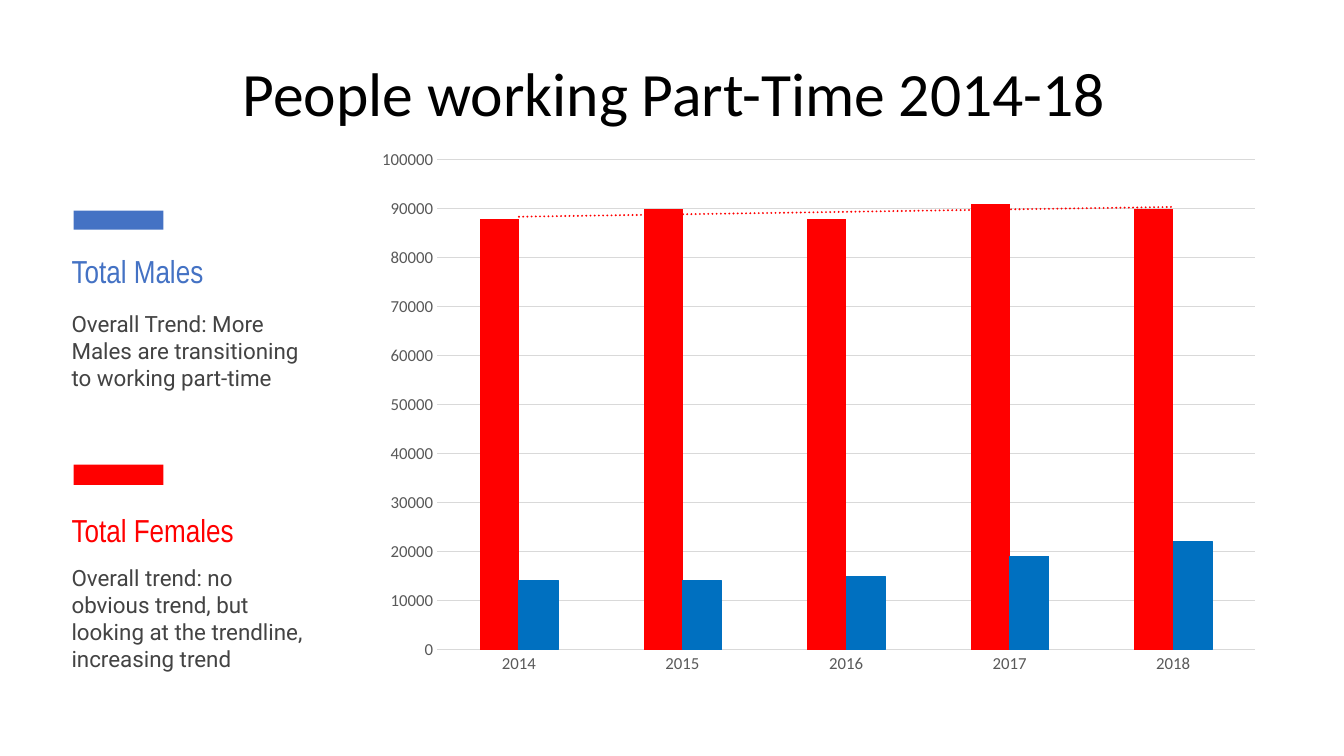
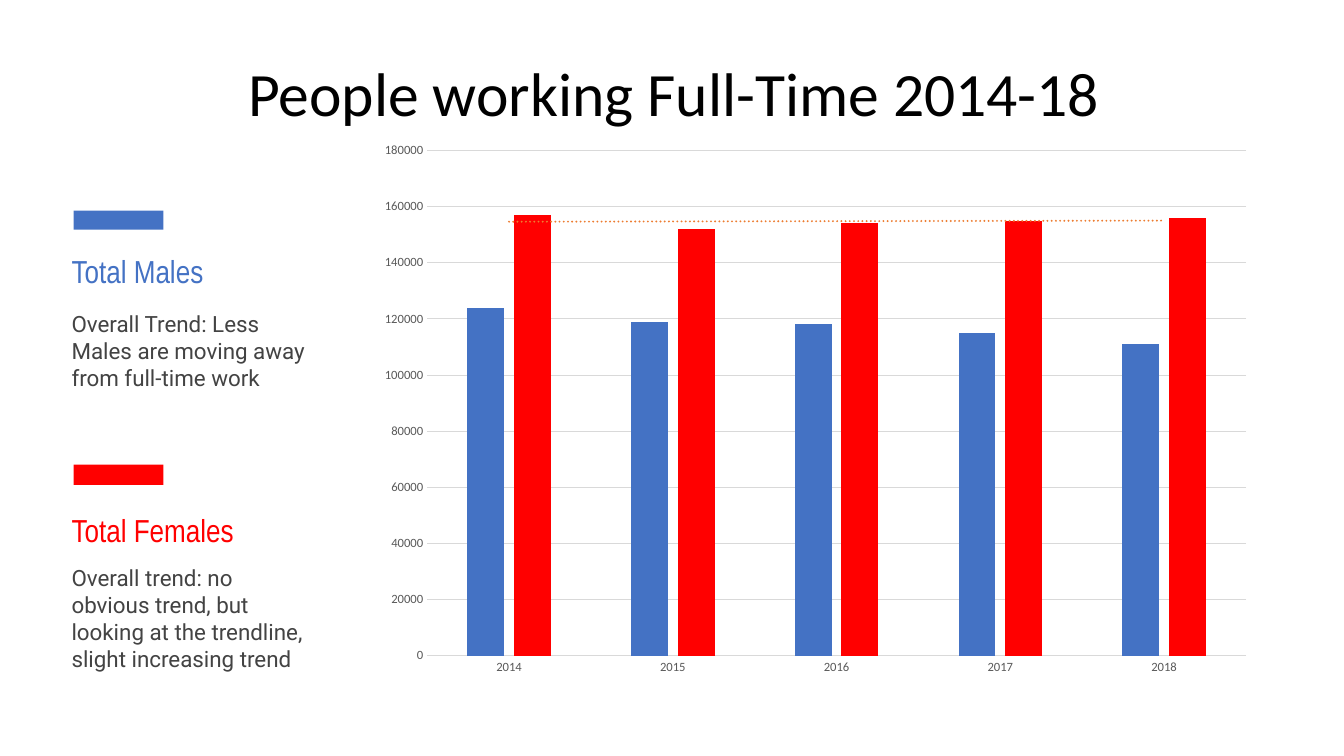
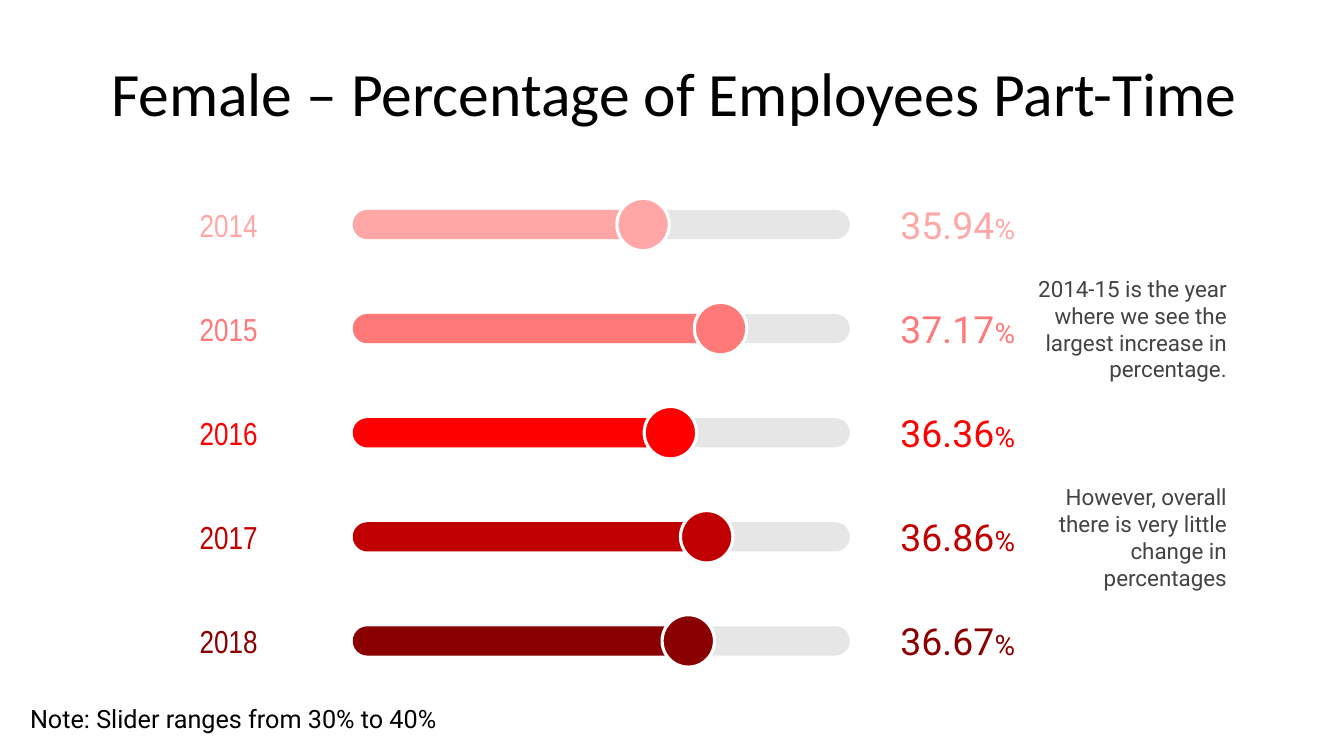
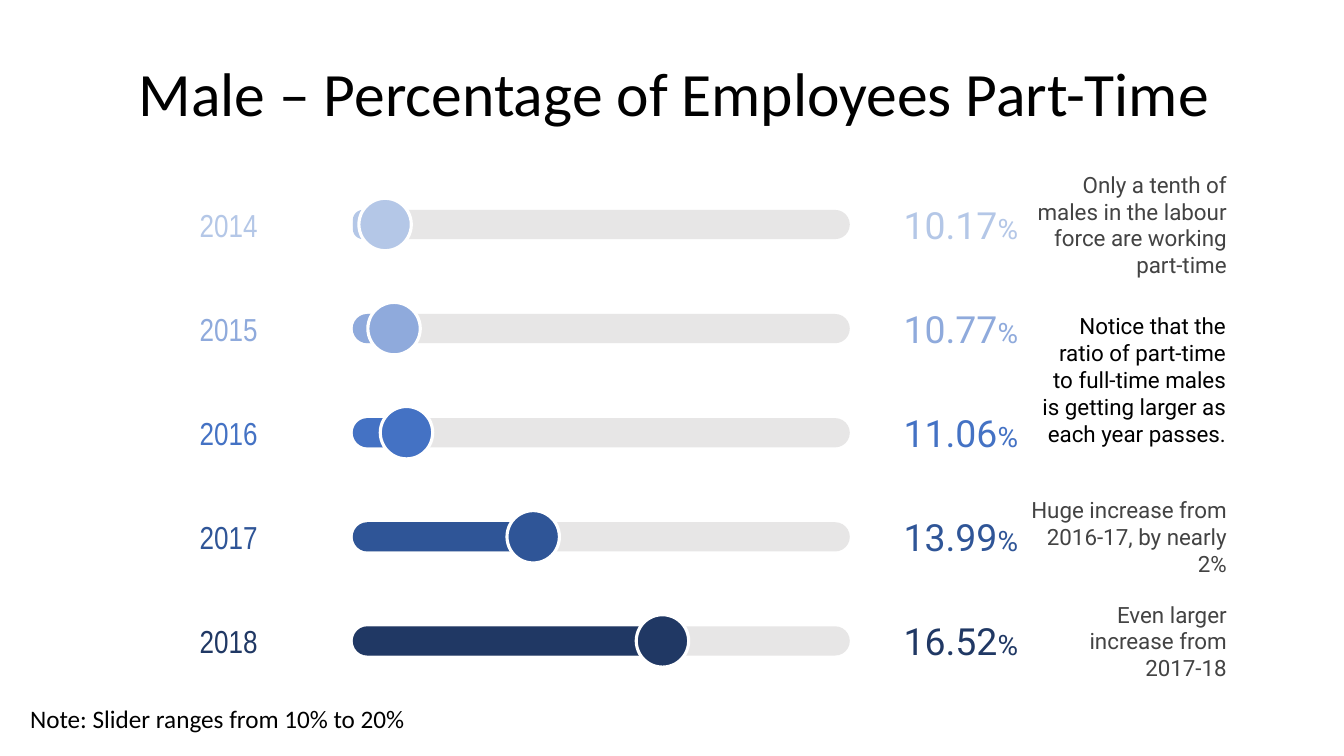
from dataclasses import dataclass
from typing import Any, Optional

from pptx import Presentation
from pptx.chart.data import CategoryChartData
from pptx.dml.color import RGBColor
from pptx.enum.chart import XL_CHART_TYPE as ChartType, XL_TICK_MARK as TickMark
from pptx.enum.shapes import MSO_SHAPE as Preset
from pptx.enum.text import MSO_ANCHOR as Anchor, MSO_AUTO_SIZE as AutoSize, PP_ALIGN as Align
from pptx.oxml import parse_xml
from pptx.oxml.ns import nsdecls, qn
from pptx.util import Inches, Pt

SLIDE_W, SLIDE_H = Inches(13.333), Inches(7.5)
TITLE_ONLY = 5
YEARS = ["2014", "2015", "2016", "2017", "2018"]

COLOURS = {
    "ink": "000000", "body": "434343", "axis": "595959", "grid": "D9D9D9",
    "track": "E7E6E6", "paper": "FFFFFF",
    "male": "4472C4", "male_bar": "0070C0", "female": "FF0000", "accent": "ED7D31",
}
FEMALE_SHADES = ["FFA7A7", "FF7979", "FF0000", "C00000", "8A0000"]
MALE_SHADES = ["B4C7E7", "8FAADC", "4472C4", "2F5597", "203864"]

HEADING, BODY, PLAIN = "Arial Narrow", "Roboto", "Calibri"
PADDED = {"margin_left": Inches(0.13), "margin_right": Inches(0.13),
          "margin_top": Inches(0.13), "margin_bottom": Inches(0.13),
          "vertical_anchor": Anchor.MIDDLE, "word_wrap": True,
          "auto_size": AutoSize.NONE}
UNPADDED = {"vertical_anchor": Anchor.TOP, "word_wrap": True,
            "auto_size": AutoSize.NONE}
NO_TICKS = {"major_tick_mark": TickMark.NONE, "minor_tick_mark": TickMark.NONE}


@dataclass(frozen=True)
class Box:
    """A place on the slide, in percent of its width and height."""
    left: float
    top: float
    width: float
    height: float

    def emu(self) -> tuple[int, int, int, int]:
        """Return the place in slide units."""
        return (int(SLIDE_W * self.left / 100), int(SLIDE_H * self.top / 100),
                int(SLIDE_W * self.width / 100), int(SLIDE_H * self.height / 100))


@dataclass(frozen=True)
class Style:
    """Font, size, colour and alignment of a text."""
    font: str
    size: float
    colour: str
    align: Align = Align.LEFT


@dataclass(frozen=True)
class Gender:
    """A legend entry: swatch, name and trend, each with top and height."""
    name: str
    colour: str
    swatch: tuple[float, float]
    label: tuple[float, float]
    trend: tuple[float, float]


@dataclass(frozen=True)
class Bars:
    """One column series, with an optional trend line or outline colour."""
    values: list[int]
    colour: str
    trend: Optional[str] = None
    outline: Optional[str] = None


@dataclass(frozen=True)
class WorkChart:
    """A slide that compares the genders with columns."""
    title: str
    trends: tuple[str, str]
    place: Box
    label_size: int
    top_value: int
    step: int
    overlap: int
    series: tuple[Bars, Bars]


@dataclass(frozen=True)
class Slider:
    """One year; fill and knob are percentages of the track."""
    value: str
    fill: float
    knob: float
    note: str = ""


@dataclass(frozen=True)
class SliderPage:
    """A slide with one slider for each year."""
    title: str
    shades: list[str]
    value_width: float
    sliders: list[Slider]
    footnote: str
    footnote_font: str
    remark: str = ""


TITLE = Box(5.33, 8.13, 89.7, 9.33)
TITLE_STYLE = Style(PLAIN, 44, COLOURS["ink"], Align.CENTER)
NOTE_STYLE = Style(BODY, 16, COLOURS["body"], Align.RIGHT)
FOOTNOTE = Box(1.5, 92.4, 35.25, 5.33)
REMARK = Box(76.73, 40.67, 15.23, 19.33)
TRACK_LEFT, TRACK_WIDTH, TRACK_HEIGHT = 26.25, 36.98, 3.87
KNOB_WIDTH, KNOB_HEIGHT = 3.9, 6.93
FIRST_ROW, ROW_PITCH = 29.7, 13.77

GENDERS = (
    Gender("Total Males", COLOURS["male"], (27.87, 2.53), (32.27, 7.07), (39.07, 14.67)),
    Gender("Total Females", COLOURS["female"], (61.47, 2.67), (66.27, 7.6), (73.73, 16)),
)

WORK_CHARTS = [
    WorkChart(
        "People working Part-Time 2014-18",
        ("Overall Trend: More Males are transitioning to working part-time",
         "Overall trend: no obvious trend, but looking at the trendline, increasing trend"),
        Box(27.08, 18.4, 67.65, 72.13), 12, 100000, 10000, 0,
        (Bars([88000, 90000, 88000, 91000, 90000], COLOURS["female"],
              trend=COLOURS["female"]),
         Bars([14000, 14000, 15000, 19000, 22000], COLOURS["male_bar"],
              outline=COLOURS["male_bar"]))),
    WorkChart(
        "People working Full-Time 2014-18",
        ("Overall Trend: Less Males are moving away from full-time work",
         "Overall trend: no obvious trend, but looking at the trendline, "
         "slight increasing trend"),
        Box(27.3, 17.47, 66.75, 73.2), 9, 180000, 20000, -27,
        (Bars([124000, 119000, 118000, 115000, 111000], COLOURS["male"]),
         Bars([157000, 152000, 154000, 155000, 156000], COLOURS["female"],
              trend=COLOURS["accent"]))),
]

SLIDER_PAGES = [
    SliderPage(
        "Female – Percentage of Employees Part-Time", FEMALE_SHADES, 11.4,
        [Slider("35.94", 60, 58.4),
         Slider("37.17", 76.1, 74,
                "2014-15 is the year where we see the largest increase in percentage."),
         Slider("36.36", 64.1, 63.9),
         Slider("36.86", 71.8, 71.2,
                "However, overall there is very little change in percentages"),
         Slider("36.67", 68.8, 67.5)],
        "Note: Slider ranges from 30% to 40%", BODY),
    SliderPage(
        "Male – Percentage of Employees Part-Time", MALE_SHADES, 11.63,
        [Slider("10.17", 4.1, 6.5,
                "Only a tenth of males in the labour force are working part-time"),
         Slider("10.77", 8.1, 8.3),
         Slider("11.06", 12.8, 10.8),
         Slider("13.99", 39.1, 36.3, "Huge increase from 2016-17, by nearly 2%"),
         Slider("16.52", 62.9, 62.3, "Even larger increase from 2017-18")],
        "Note: Slider ranges from 10% to 20%", PLAIN,
        "Notice that the ratio of part-time to full-time males is getting "
        "larger as each year passes."),
]


def apply(target: Any, values: dict[str, Any]) -> None:
    """Set each named attribute of the target."""
    for name, value in values.items():
        setattr(target, name, value)


def set_font(font: Any, family: str, size: float, colour: str) -> None:
    """Format a font."""
    apply(font, {"name": family, "size": Pt(size)})
    font.color.rgb = RGBColor.from_string(colour)


def paint(fill: Any, colour: str) -> None:
    """Give a solid colour to a fill."""
    fill.solid()
    fill.fore_color.rgb = RGBColor.from_string(colour)


def draw_line(line: Any, colour: str, width: float) -> None:
    """Format an outline or a rule."""
    paint(line.fill, colour)
    line.width = Pt(width)


def write(frame: Any, text: str, style: Style, layout: dict[str, Any],
          unit: str = "", unit_size: float = 0) -> None:
    """Write one paragraph, with an optional unit in its own size."""
    apply(frame, layout)
    paragraph = frame.paragraphs[0]
    paragraph.alignment = style.align
    for words, size in ((text, style.size), (unit, unit_size)):
        if words:
            run = paragraph.add_run()
            run.text = words
            set_font(run.font, style.font, size, style.colour)


def add_text(slide: Any, place: Box, text: str, style: Style,
             layout: dict[str, Any] = PADDED, **unit: Any) -> None:
    """Add a text box."""
    write(slide.shapes.add_textbox(*place.emu()).text_frame, text, style, layout, **unit)


def add_block(slide: Any, preset: Preset, place: Box, colour: str,
              outline: Optional[str] = None) -> None:
    """Add a filled shape; rounded ones get fully round ends."""
    block = slide.shapes.add_shape(preset, *place.emu())
    block.shadow.inherit = False
    paint(block.fill, colour)
    if outline:
        draw_line(block.line, outline, 2.25)
    else:
        block.line.fill.background()
    if preset == Preset.ROUNDED_RECTANGLE:
        block.adjustments[0] = 0.5


def add_titled_slide(deck: Any, title: str) -> Any:
    """Add a slide with the shared title."""
    slide = deck.slides.add_slide(deck.slide_layouts[TITLE_ONLY])
    heading = slide.shapes.title
    apply(heading, dict(zip(("left", "top", "width", "height"), TITLE.emu())))
    write(heading.text_frame, title, TITLE_STYLE, PADDED)
    heading.text_frame.paragraphs[0].line_spacing = 0.9
    return slide


def add_legend(slide: Any, gender: Gender, trend: str) -> None:
    """Draw the swatch, name and trend of a gender."""
    add_text(slide, Box(4.35, gender.label[0], 19.35, gender.label[1]),
             gender.name, Style(HEADING, 22.7, gender.colour))
    add_text(slide, Box(4.35, gender.trend[0], 19.35, gender.trend[1]),
             trend, Style(BODY, 16, COLOURS["body"]))
    add_block(slide, Preset.RECTANGLE,
              Box(5.48, gender.swatch[0], 6.68, gender.swatch[1]), gender.colour)


def add_trend(series: Any, colour: str) -> None:
    """Add a dotted linear trend line to a series."""
    trend = parse_xml(
        f'<c:trendline {nsdecls("c", "a")}><c:spPr><a:ln w="{Pt(1.5)}" cap="rnd">'
        f'<a:solidFill><a:srgbClr val="{colour}"/></a:solidFill>'
        '<a:prstDash val="sysDot"/></a:ln></c:spPr><c:trendlineType val="linear"/>'
        '<c:dispRSqr val="0"/><c:dispEq val="0"/></c:trendline>')
    series._element.find(qn("c:cat")).addprevious(trend)


def add_columns(slide: Any, page: WorkChart) -> None:
    """Draw the column chart of a page."""
    data = CategoryChartData()
    data.categories = YEARS
    for number, bars in enumerate(page.series, 1):
        data.add_series(f"Series {number}", bars.values)
    chart = slide.shapes.add_chart(
        ChartType.COLUMN_CLUSTERED, *page.place.emu(), data).chart
    apply(chart, {"has_title": False, "has_legend": False})
    set_font(chart.font, PLAIN, 10, COLOURS["ink"])

    years, people = chart.category_axis, chart.value_axis
    for axis in (years, people):
        apply(axis, NO_TICKS)
        set_font(axis.tick_labels.font, PLAIN, page.label_size, COLOURS["axis"])
    apply(people, {"minimum_scale": 0, "maximum_scale": page.top_value,
                   "major_unit": page.step, "has_major_gridlines": True})
    draw_line(years.format.line, COLOURS["grid"], 0.75)
    draw_line(people.major_gridlines.format.line, COLOURS["grid"], 0.75)
    people.format.line.fill.background()

    plot = chart.plots[0]
    apply(plot, {"gap_width": 219, "overlap": page.overlap, "vary_by_categories": False})
    for series, bars in zip(plot.series, page.series):
        series.invert_if_negative = False
        paint(series.format.fill, bars.colour)
        if bars.outline:
            draw_line(series.format.line, bars.outline, 0.75)
        if bars.trend:
            add_trend(series, bars.trend)


def add_slider(slide: Any, row: int, page: SliderPage) -> None:
    """Draw the year, track, knob, value and note of one row."""
    slider, shade = page.sliders[row], page.shades[row]
    middle = FIRST_ROW + row * ROW_PITCH

    def in_row(left: float, width: float, height: float) -> Box:
        """Centre a box on the row."""
        return Box(left, middle - height / 2, width, height)

    for share, colour in ((100, COLOURS["track"]), (slider.fill, shade)):
        add_block(slide, Preset.ROUNDED_RECTANGLE,
                  in_row(TRACK_LEFT, TRACK_WIDTH * share / 100, TRACK_HEIGHT), colour)
    knob_left = TRACK_LEFT + TRACK_WIDTH * slider.knob / 100 - KNOB_WIDTH / 2
    add_block(slide, Preset.OVAL, in_row(knob_left, KNOB_WIDTH, KNOB_HEIGHT),
              shade, COLOURS["paper"])
    add_text(slide, in_row(13.88, 10.5, 6.4), YEARS[row], Style(HEADING, 22.7, shade))
    add_text(slide, in_row(65.1, page.value_width, 6.4), slider.value,
             Style(BODY, 26.7, shade, Align.RIGHT), unit="%", unit_size=20)
    if slider.note:
        add_text(slide, in_row(75.6, 16.65, 10.67), slider.note, NOTE_STYLE)


def build_work_chart(deck: Any, page: WorkChart) -> None:
    """Build a slide with legend and columns."""
    slide = add_titled_slide(deck, page.title)
    for gender, trend in zip(GENDERS, page.trends):
        add_legend(slide, gender, trend)
    add_columns(slide, page)


def build_slider_page(deck: Any, page: SliderPage) -> None:
    """Build a slide with a slider for each year."""
    slide = add_titled_slide(deck, page.title)
    for row in range(len(YEARS)):
        add_slider(slide, row, page)
    add_text(slide, FOOTNOTE, page.footnote,
             Style(page.footnote_font, 18, COLOURS["ink"]), UNPADDED)
    if page.remark:
        add_text(slide, REMARK, page.remark,
                 Style(BODY, 16, COLOURS["ink"], Align.RIGHT), UNPADDED)


def main() -> None:
    """Build and save the deck."""
    deck = Presentation()
    apply(deck, {"slide_width": SLIDE_W, "slide_height": SLIDE_H})
    for chart_page in WORK_CHARTS:
        build_work_chart(deck, chart_page)
    for slider_page in SLIDER_PAGES:
        build_slider_page(deck, slider_page)
    deck.save("out.pptx")


main()
